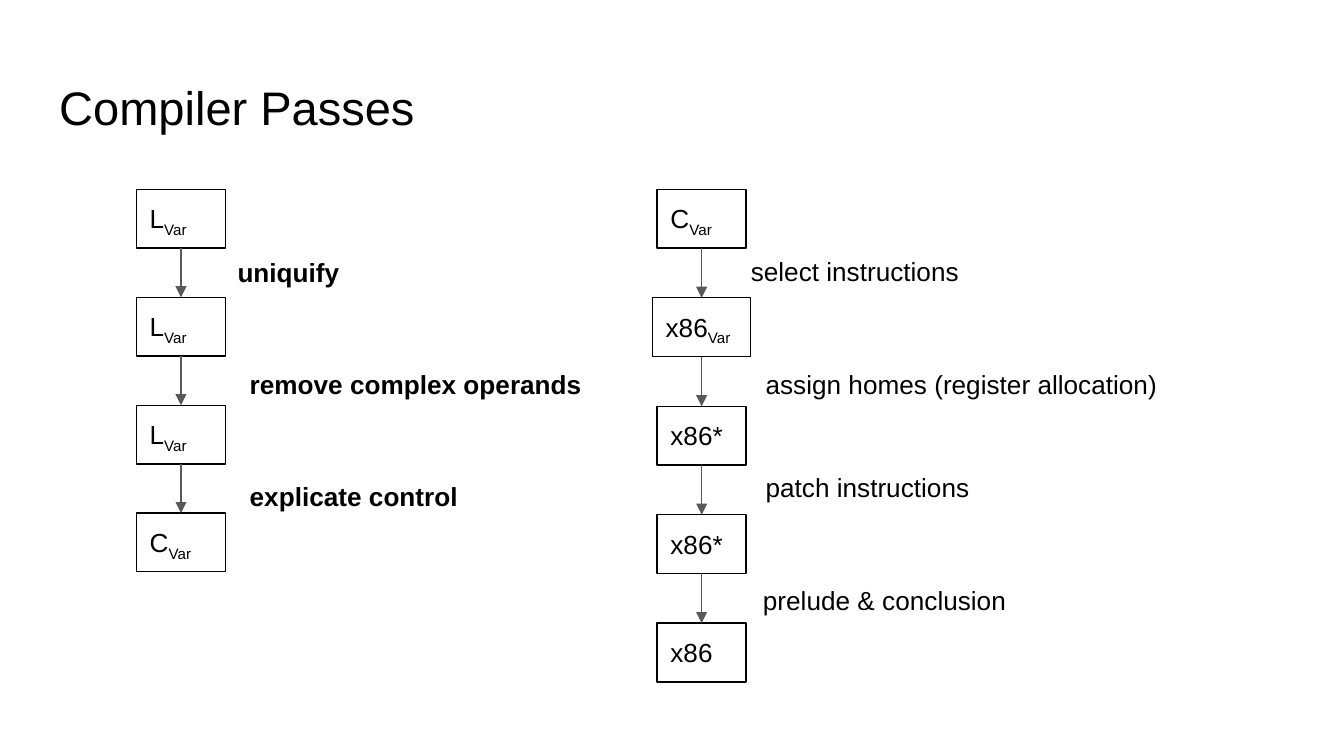
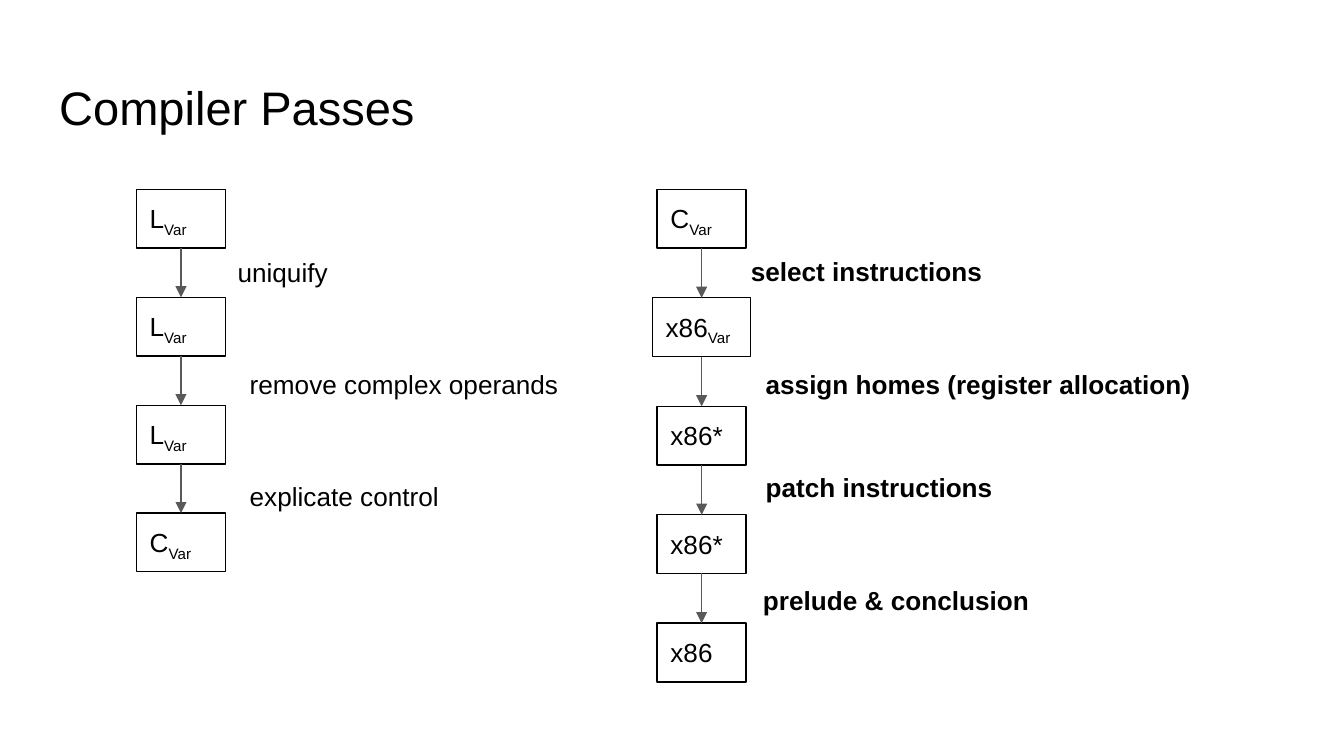
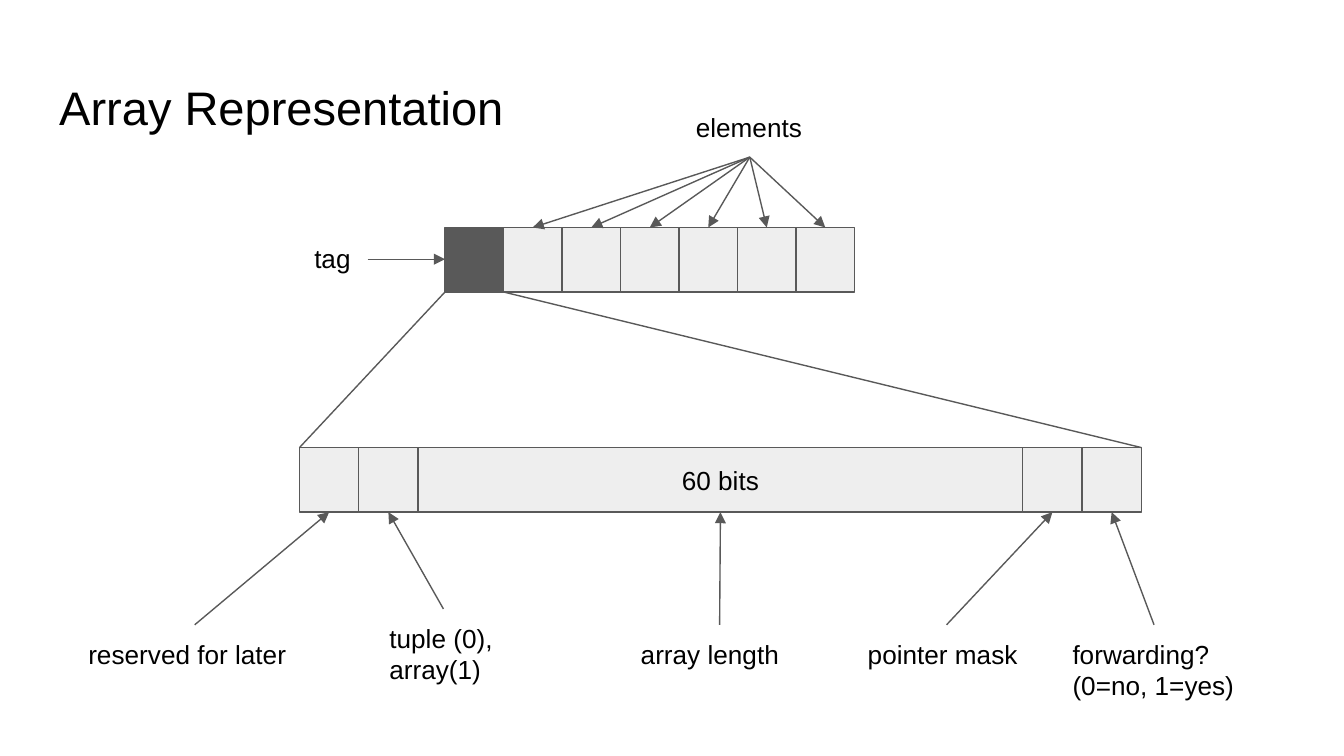
import pptx
import pptx.dml.color
import pptx.enum.shapes
import pptx.enum.text
import pptx.oxml.ns
import pptx.util
from dataclasses import dataclass
from lxml import etree

Cm = pptx.util.Cm
Pt = pptx.util.Pt
qn = pptx.oxml.ns.qn
ANCHOR = pptx.enum.text.MSO_ANCHOR
ALIGN = pptx.enum.text.PP_ALIGN


@dataclass(frozen=True)
class Theme:
    font: str = "Arial"
    title_size: float = 25.2
    body_size: float = 14
    line_width: float = 0.75
    text: str = "000000"
    dark: str = "595959"
    light: str = "EEEEEE"


def rgb(value):
    return pptx.dml.color.RGBColor.from_string(value)


def write(tf, text, *, font, size, color, bold=False, align=ALIGN.LEFT,
          anchor=ANCHOR.TOP, grow=False):
    """Fill a text frame; "_" in a line starts a subscript."""
    tf.word_wrap = True
    tf.vertical_anchor = anchor
    tf.margin_left = tf.margin_right = tf.margin_top = tf.margin_bottom = Cm(0.25)
    tf.auto_size = (pptx.enum.text.MSO_AUTO_SIZE.SHAPE_TO_FIT_TEXT if grow
                    else pptx.enum.text.MSO_AUTO_SIZE.NONE)
    for i, line in enumerate(text.split("\n")):
        p = tf.add_paragraph() if i else tf.paragraphs[0]
        p.alignment = align
        for j, part in enumerate(line.split("_")):
            r = p.add_run()
            r.text = part
            r.font.name, r.font.size, r.font.bold = font, Pt(size), bold
            r.font.color.rgb = rgb(color)
            if j:
                r._r.get_or_add_rPr().set("baseline", "-25000")


class Deck:
    """Holds the style and the current slide; all lengths are in cm."""

    def __init__(self, theme):
        self.theme = theme
        self.prs = pptx.Presentation()
        self.prs.slide_width, self.prs.slide_height = Cm(25.4), Cm(14.29)
        self.s = None

    def slide(self, title):
        self.s = self.prs.slides.add_slide(self.prs.slide_layouts[6])
        self.label(title, 0.87, 1.24, 23.67, 1.6,
                   size=self.theme.title_size, grow=False)

    def text(self, tf, text, **style):
        t = self.theme
        write(tf, text, **{"font": t.font, "size": t.body_size,
                           "color": t.text, **style})

    def label(self, text, x, y, w, h=1.11, grow=True, **style):
        sp = self.s.shapes.add_textbox(Cm(x), Cm(y), Cm(w), Cm(h))
        self.text(sp.text_frame, text, grow=grow, **style)

    def box(self, x, y, w, h, text="", fill=None, line=None, **style):
        sp = self.s.shapes.add_shape(pptx.enum.shapes.MSO_SHAPE.RECTANGLE,
                                     Cm(x), Cm(y), Cm(w), Cm(h))
        sp.shadow.inherit = False
        if fill:
            sp.fill.solid()
            sp.fill.fore_color.rgb = rgb(fill)
        else:
            sp.fill.background()
        sp.line.color.rgb = rgb(line or self.theme.dark)
        sp.line.width = Pt(self.theme.line_width)
        if text:
            self.text(sp.text_frame, text, **style)

    def line(self, x1, y1, x2, y2, arrow=True):
        c = self.s.shapes.add_connector(pptx.enum.shapes.MSO_CONNECTOR.STRAIGHT,
                                        Cm(x1), Cm(y1), Cm(x2), Cm(y2))
        c.line.color.rgb = rgb(self.theme.dark)
        c.line.width = Pt(self.theme.line_width)
        spPr = c._element.spPr
        if arrow:
            etree.SubElement(spPr.find(qn("a:ln")), qn("a:tailEnd"), type="triangle")
        etree.SubElement(spPr, qn("a:effectLst"))


# Compiler passes: languages in a column, the pass beside each arrow
FRONT = ["L_Var", "L_Var", "L_Var", "C_Var"]
BACK = ["C_Var", "x86_Var", "x86*", "x86*", "x86"]
# name, x, y, plain width, bold width
FRONT_PASSES = [
    ("uniquify", 4.24, 4.6, 3.81, 3.81),
    ("remove complex operands", 4.47, 6.71, 7.01, 7.01),
    ("explicate control", 4.47, 8.84, 5.61, 5.61),
]
BACK_PASSES = [
    ("select instructions", 13.94, 4.57, 4.7, 7.77),
    ("assign homes (register allocation)", 14.22, 6.71, 8.05, 9.6),
    ("patch instructions", 14.22, 8.66, 5.97, 5.97),
    ("prelude & conclusion", 14.17, 10.8, 6.35, 6.35),
]


def column(deck, languages, passes, center, step, bold):
    top, h = 3.58, 1.11
    for i, name in enumerate(languages):
        y = top + i * step
        w = 1.86 if name == "x86_Var" else 1.68
        deck.box(center - w / 2, y, w, h, name, line=deck.theme.text, grow=True)
        if i:
            deck.line(center, y - step + h, center, y)
    for name, x, y, plain_w, bold_w in passes:
        deck.label(name, x, y, bold_w if bold else plain_w, bold=bold)


def compiler_passes(deck, bold_front):
    deck.slide("Compiler Passes")
    column(deck, FRONT, FRONT_PASSES, 3.42, 2.04, bold_front)
    column(deck, BACK, BACK_PASSES, 13.26, 2.05, not bold_front)


# Array layout: tag and elements above, the bits of the tag below
# field width, text inside, label, label x, y, width
FIELDS = [
    (1.12, "", "reserved for later", 1.42, 11.81, 4.52),
    (1.12, "", "tuple (0), array(1)", 7.11, 11.51, 2.54),
    (11.43, "60 bits", "array length", 11.86, 11.81, 3.48),
    (1.12, "", "pointer mask", 16.15, 11.81, 3.48),
    (1.12, "", "forwarding?\n(0=no, 1=yes)", 20.02, 11.81, 3.58),
]


def array_representation(deck):
    t = deck.theme
    deck.slide("Array Representation")
    h = 1.22

    # Array cells
    left, top, count = 8.41, 4.3, 7
    cell = 7.74 / count
    deck.label("elements", 12.9, 1.85, 2.54)
    deck.label("tag", 5.69, 4.34, 1.27)
    deck.line(6.95, 4.9, left, 4.9)
    for i in range(count):
        x = left + i * cell
        deck.box(x, top, cell, h, fill=t.light if i else t.dark)
        if i:
            deck.line(14.17, 2.97, x + cell / 2, top)

    # Tag fields
    start = x = 5.66
    word_top = 8.46
    for w, text, name, label_x, label_y, label_w in FIELDS:
        deck.box(x, word_top, w, h, text, fill=t.light,
                 align=ALIGN.CENTER, anchor=ANCHOR.MIDDLE)
        deck.label(name, label_x, label_y, label_w, 1.7 if "(" in name else 1.11)
        deck.line(label_x + label_w / 2, label_y, x + w / 2, word_top + h)
        x += w

    # Zoom lines from the tag to its fields
    deck.line(left, top + h, start, word_top, arrow=False)
    deck.line(left + cell, top + h, x, word_top, arrow=False)


def main():
    deck = Deck(Theme())
    compiler_passes(deck, bold_front=True)
    compiler_passes(deck, bold_front=False)
    array_representation(deck)
    deck.prs.save("out.pptx")


if __name__ == "__main__":
    main()
